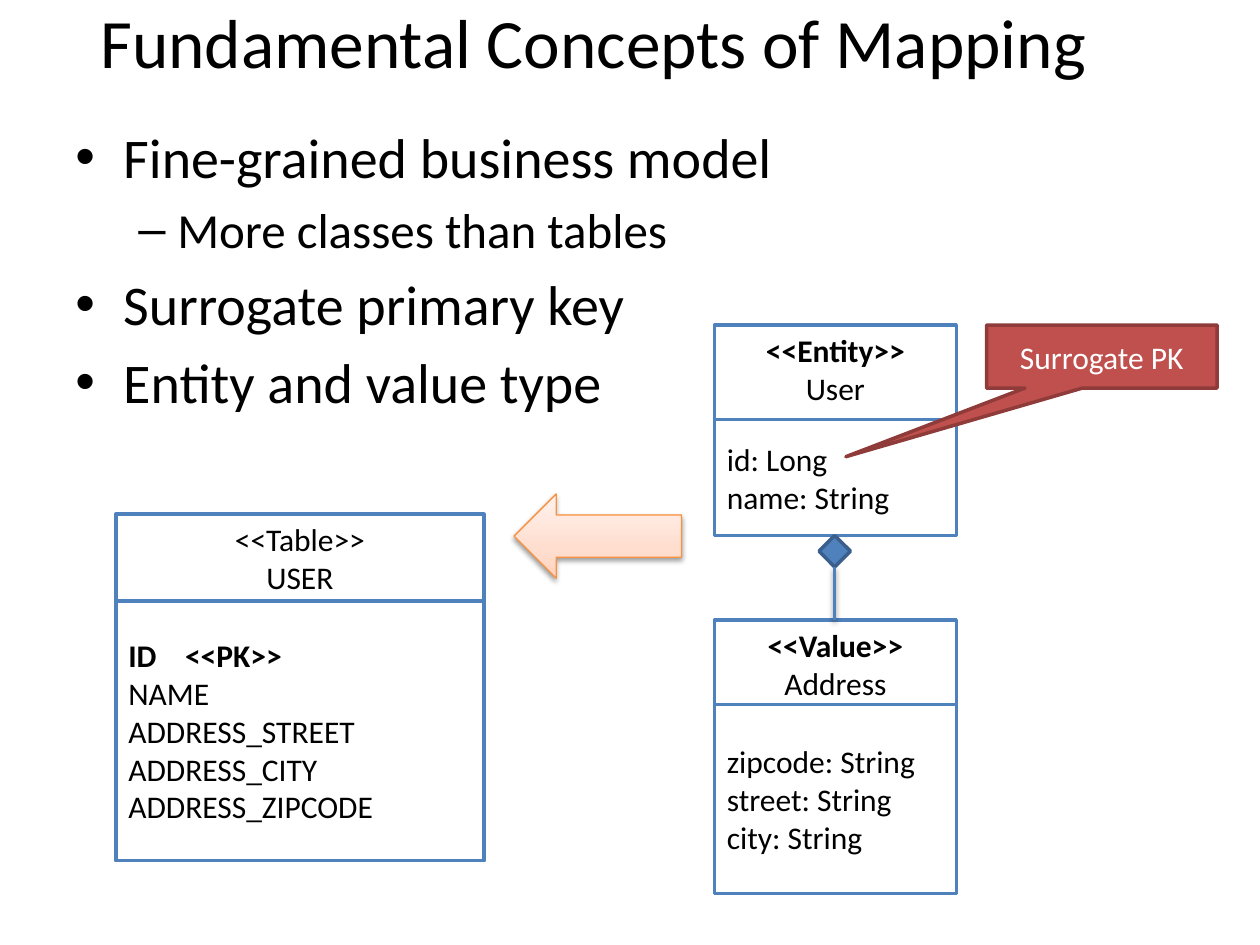
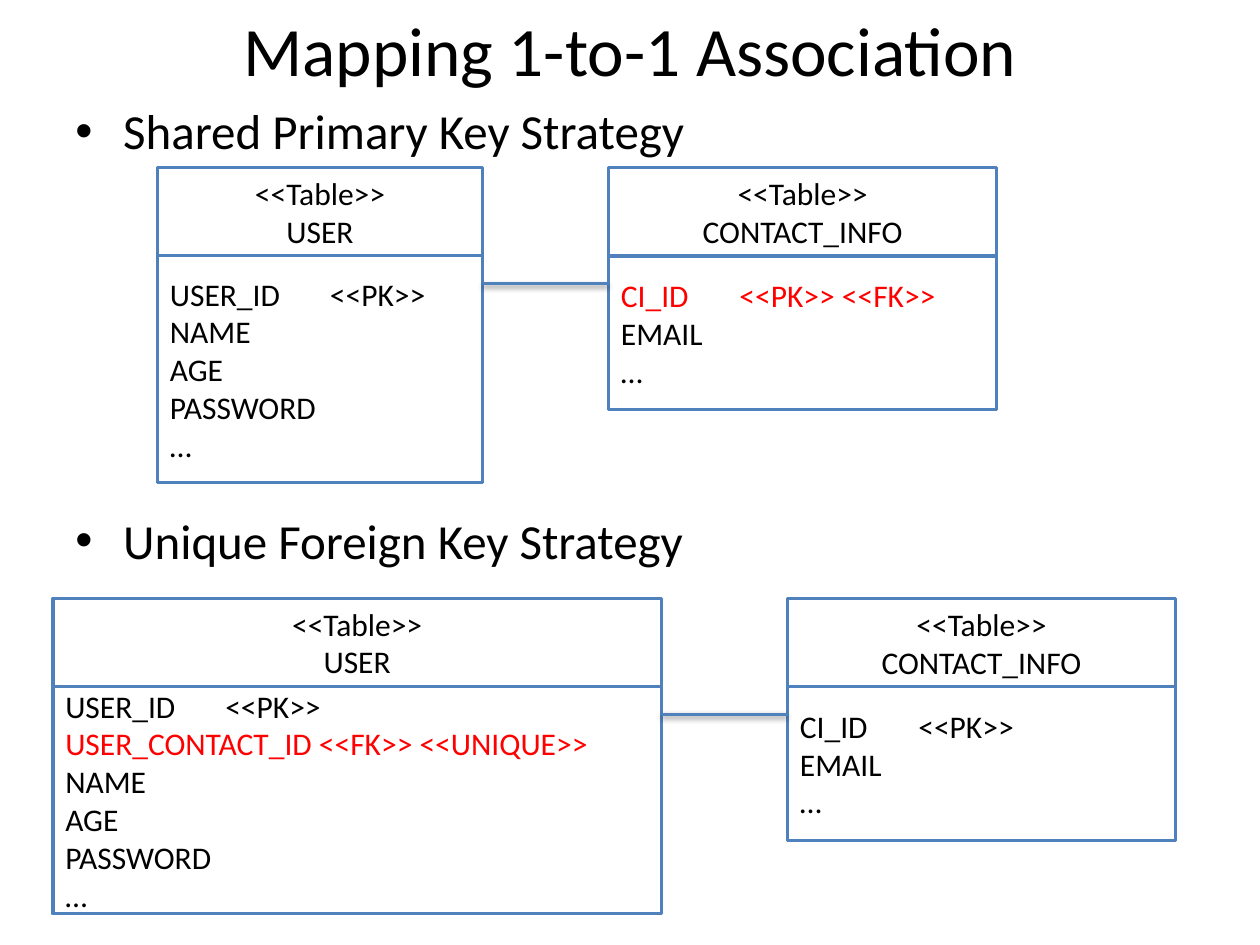
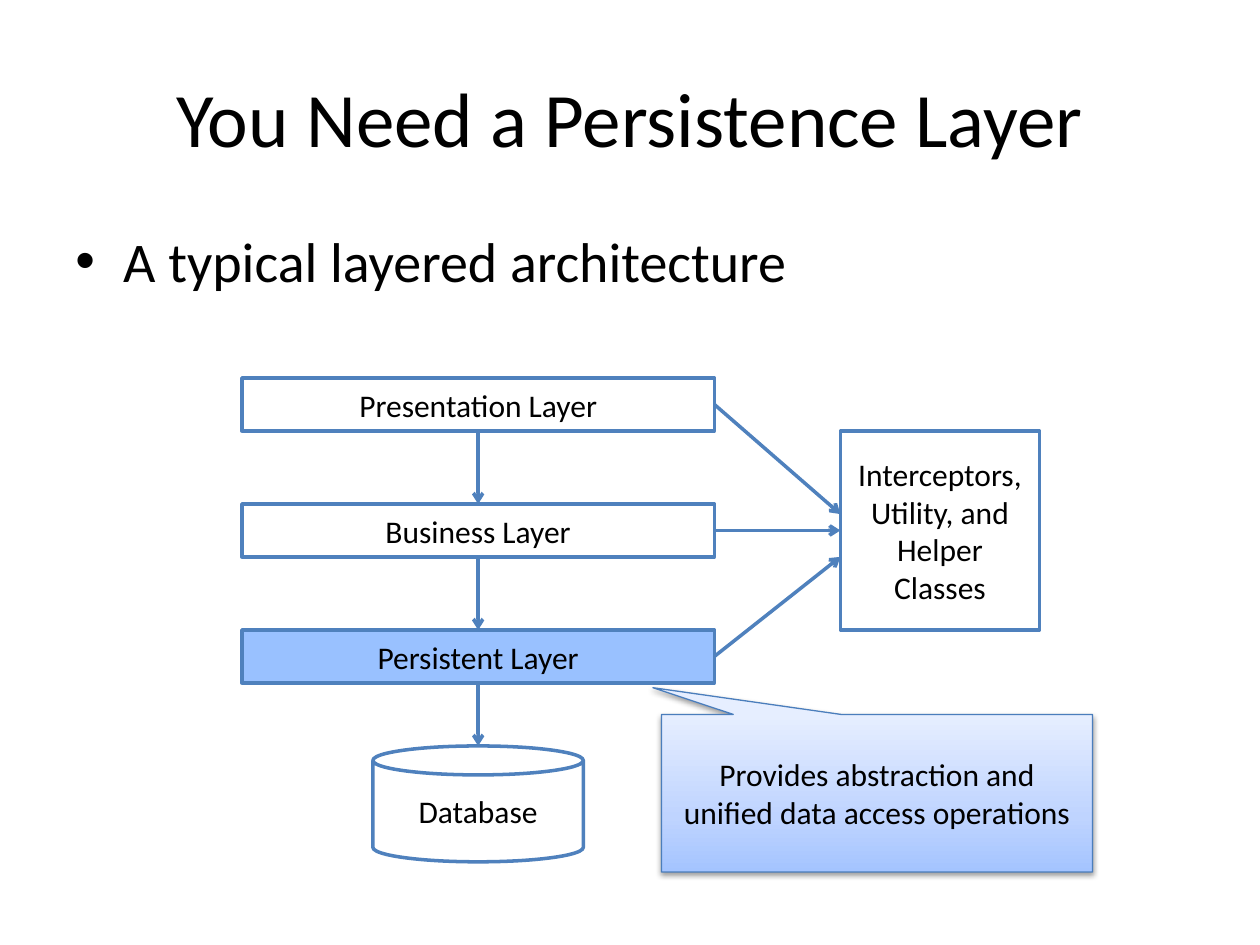
from dataclasses import dataclass

from lxml import etree
from pptx import Presentation
from pptx.dml.color import RGBColor
from pptx.enum.shapes import MSO_CONNECTOR, MSO_SHAPE
from pptx.enum.text import MSO_ANCHOR, MSO_AUTO_SIZE, PP_ALIGN
from pptx.oxml.ns import qn
from pptx.util import Inches, Pt

RECTANGLE = MSO_SHAPE.RECTANGLE
CALLOUT = MSO_SHAPE.RECTANGULAR_CALLOUT
LEFT_ARROW = MSO_SHAPE.LEFT_ARROW
DIAMOND = MSO_SHAPE.DIAMOND
CAN = MSO_SHAPE.CAN
STRAIGHT = MSO_CONNECTOR.STRAIGHT
TOP, MIDDLE = MSO_ANCHOR.TOP, MSO_ANCHOR.MIDDLE
LEFT, CENTER = PP_ALIGN.LEFT, PP_ALIGN.CENTER
NO_AUTOFIT = MSO_AUTO_SIZE.NONE
TITLE_ONLY = 5


@dataclass(frozen=True)
class Theme:
    """Colours, font and sizes shared by the slides."""
    font: str = "Calibri"
    ink: str = "000000"
    paper: str = "FFFFFF"
    blue: str = "4F81BD"
    dark_blue: str = "3A5F8C"
    key_red: str = "FF0000"
    note_red: str = "C0504D"
    note_edge: str = "8E3B39"
    layer_blue: str = "0066FF"
    pale_edge: str = "4B7EBC"
    orange_edge: str = "F69240"
    pale_blue: tuple = ((0, "A4C4FF"), (35, "BFD4FF"), (100, "E6EEFF"))
    pale_orange: tuple = ((0, "FFD2BD"), (35, "FFDED0"), (100, "FFF2ED"))
    title: float = 44
    tight_title: float = 39.6
    bullet: float = 32
    small_bullet: float = 28
    label: float = 18
    outline: float = 2
    hairline: float = 0.75


THEME = Theme()


@dataclass(frozen=True)
class Box:
    """A rectangle in inches."""
    left: float
    top: float
    width: float
    height: float

    @property
    def right(self):
        """Return the right edge."""
        return self.left + self.width

    @property
    def bottom(self):
        """Return the bottom edge."""
        return self.top + self.height

    @property
    def middle(self):
        """Return the horizontal centre."""
        return self.left + self.width / 2

    @property
    def center(self):
        """Return the vertical centre."""
        return self.top + self.height / 2

    def lengths(self):
        """Return left, top, width and height as lengths."""
        return [Inches(v) for v in (self.left, self.top, self.width, self.height)]


@dataclass(frozen=True)
class Line:
    """A line of label text, with an optional tab stop in inches."""
    text: str
    color: str = THEME.ink
    bold: bool = False
    tab: float = 0


def add_node(parent, tag, **attributes):
    """Append a drawing element and return it."""
    return etree.SubElement(parent, qn(tag), attributes)


def style_paragraph(paragraph, size, color=THEME.ink, bold=False):
    """Format every run of a paragraph."""
    for run in paragraph.runs:
        run.font.name = THEME.font
        run.font.size = Pt(size)
        run.font.bold = bold
        run.font.color.rgb = RGBColor.from_string(color)


def fill_lines(frame, lines, align=CENTER, anchor=MIDDLE):
    """Write label lines into a text frame."""
    frame.word_wrap = True
    frame.vertical_anchor = anchor
    frame.text = "\n".join(line.text for line in lines)
    for paragraph, line in zip(frame.paragraphs, lines):
        paragraph.alignment = align
        style_paragraph(paragraph, THEME.label, line.color, line.bold)
        if line.tab:
            stops = add_node(paragraph._p.get_or_add_pPr(), "a:tabLst")
            add_node(stops, "a:tab", pos=str(Inches(line.tab)), algn="l")


def set_effects(item, shadow=False):
    """Give a shape or connector a soft shadow, or none."""
    effects = add_node(item._element.spPr, "a:effectLst")
    if shadow:
        outer = add_node(effects, "a:outerShdw", blurRad=str(Pt(3.1)),
                         dist=str(Pt(1.6)), dir="5400000", rotWithShape="0")
        color = add_node(outer, "a:srgbClr", val=THEME.ink)
        add_node(color, "a:alpha", val="38000")


def set_gradient(fill, spPr, stops):
    """Apply a bottom-to-top gradient."""
    fill.gradient()
    fill.gradient_angle = 90
    stop_list = spPr.find(qn("a:gradFill")).find(qn("a:gsLst"))
    for old_stop in list(stop_list):
        stop_list.remove(old_stop)
    for position, color in stops:
        stop = add_node(stop_list, "a:gs", pos=str(position * 1000))
        add_node(stop, "a:srgbClr", val=color)


def add_block(slide, box, lines=(), kind=RECTANGLE, fill=THEME.paper, edge=THEME.blue,
              weight=THEME.outline, shadow=False, align=CENTER, anchor=MIDDLE,
              pointer=(), opacity=100):
    """Draw one outlined shape with its label."""
    block = slide.shapes.add_shape(kind, *box.lengths())
    for index, value in enumerate(pointer):
        block.adjustments[index] = value
    if isinstance(fill, tuple):
        set_gradient(block.fill, block._element.spPr, fill)
    else:
        block.fill.solid()
        block.fill.fore_color.rgb = RGBColor.from_string(fill)
        if opacity < 100:
            color = block._element.spPr.find(qn("a:solidFill"))[0]
            add_node(color, "a:alpha", val=str(opacity * 1000))
    block.line.color.rgb = RGBColor.from_string(edge)
    block.line.width = Pt(weight)
    set_effects(block, shadow)
    if lines:
        fill_lines(block.text_frame, lines, align, anchor)


def add_link(slide, start, end, arrow=False):
    """Draw a shadowed association or a plain arrow."""
    ends = [Inches(v) for v in (*start, *end)]
    link = slide.shapes.add_connector(STRAIGHT, *ends)
    link.line.color.rgb = RGBColor.from_string(THEME.blue)
    link.line.width = Pt(THEME.outline)
    if arrow:
        add_node(link.line._get_or_add_ln(), "a:tailEnd", type="arrow")
    set_effects(link, not arrow)


def add_entity(slide, box, heading, fields, header=0.7):
    """Draw a class or table box with a header and its fields."""
    add_block(slide, box, heading, anchor=TOP)
    body = Box(box.left, box.top + header, box.width, box.height - header)
    add_block(slide, body, fields, align=LEFT)


def add_titled_slide(deck, title, box, size=THEME.tight_title, right_inset=0.1):
    """Add a title-only slide and place its title."""
    slide = deck.slides.add_slide(deck.slide_layouts[TITLE_ONLY])
    heading = slide.shapes.title
    heading.left, heading.top, heading.width, heading.height = box.lengths()
    frame = heading.text_frame
    frame.text = title
    frame.auto_size = NO_AUTOFIT
    frame.vertical_anchor = MIDDLE
    frame.margin_right = Inches(right_inset)
    frame.paragraphs[0].alignment = CENTER
    style_paragraph(frame.paragraphs[0], size)
    return slide


def add_bullets(slide, box, items, size=THEME.bullet):
    """Write bullets given as (level, text) pairs."""
    frame = slide.shapes.add_textbox(*box.lengths()).text_frame
    frame.word_wrap = True
    frame.text = "\n".join(text for _, text in items)
    for paragraph, (level, _) in zip(frame.paragraphs, items):
        indent, hang, mark = ((0.38, 0.38, "•"), (0.81, 0.31, "–"))[level]
        text_size = THEME.small_bullet if level else size
        paragraph.level = level
        paragraph.space_before = Pt(text_size * 0.2)
        properties = paragraph._p.get_or_add_pPr()
        properties.set("marL", str(Inches(indent)))
        properties.set("indent", str(-Inches(hang)))
        add_node(properties, "a:buFont", typeface="Arial")
        add_node(properties, "a:buChar", char=mark)
        style_paragraph(paragraph, text_size)


def table_heading(name):
    """Return the header lines of a database table."""
    return [Line("<<Table>>"), Line(name)]


def plain(*texts):
    """Return plain label lines."""
    return [Line(text) for text in texts]


def add_table_pair(slide, user, contact, user_fields, contact_key):
    """Draw the user table linked to the contact table."""
    add_entity(slide, user, table_heading("USER"), user_fields)
    add_entity(slide, contact, table_heading("CONTACT_INFO"),
               [contact_key, *plain("EMAIL", "…")])
    link_top = user.top + 0.92
    add_link(slide, (user.right, link_top), (contact.left, link_top))


def build_concepts(deck):
    """Build the slide on mapping concepts."""
    slide = add_titled_slide(deck, "Fundamental Concepts of Mapping",
                             Box(0.33, -0.03, 9, 0.7), right_inset=0.34)
    add_bullets(slide, Box(0.5, 0.92, 9, 2.5), [
        (0, "Fine-grained business model"), (1, "More classes than tables"),
        (0, "Surrogate primary key"), (0, "Entity and value type")])
    user = Box(5.67, 2.58, 1.92, 1.67)
    address = Box(user.left, 4.92, user.width, 2.17)
    add_entity(slide, user, [Line("<<Entity>>", bold=True), Line("User")],
               plain("id: Long", "name: String"), header=0.75)
    add_entity(slide, address, [Line("<<Value>>", bold=True), Line("Address")],
               plain("zipcode: String", "street: String", "city: String"), header=0.67)
    add_entity(slide, Box(0.92, 4.08, 2.92, 2.75), table_heading("USER"), [
        Line("ID\t<<PK>>", bold=True, tab=0.45),
        *plain("NAME", "ADDRESS_STREET", "ADDRESS_CITY", "ADDRESS_ZIPCODE")], header=0.69)
    add_block(slide, Box(7.83, user.top, 1.83, 0.5), [Line("Surrogate PK", THEME.paper)],
              CALLOUT, THEME.note_red, THEME.note_edge, pointer=(-1.11, 1.59))
    add_block(slide, Box(4.08, 3.92, 1.33, 0.67), kind=LEFT_ARROW, fill=THEME.pale_orange,
              edge=THEME.orange_edge, weight=THEME.hairline, shadow=True)
    diamond = Box(user.middle - 0.13, user.bottom, 0.25, 0.25)
    add_block(slide, diamond, kind=DIAMOND, fill=THEME.blue, edge=THEME.dark_blue)
    add_link(slide, (diamond.middle, diamond.bottom), (diamond.middle, address.top))


def build_association(deck):
    """Build the slide on one-to-one strategies."""
    slide = add_titled_slide(deck, "Mapping 1-to-1 Association", Box(0.5, 0, 9, 0.78))
    user_key = Line("USER_ID\t<<PK>>", tab=1.27)
    user_columns = plain("NAME", "AGE", "PASSWORD", "…")
    add_bullets(slide, Box(0.5, 0.75, 9, 0.42), [(0, "Shared Primary Key Strategy")],
                THEME.small_bullet)
    add_table_pair(slide, Box(1.25, 1.33, 2.58, 2.5), Box(4.83, 1.33, 3.08, 1.92),
                   [user_key, *user_columns],
                   Line("CI_ID\t<<PK>> <<FK>>", THEME.key_red, tab=0.94))
    add_bullets(slide, Box(0.5, 4, 9, 0.58), [(0, "Unique Foreign Key Strategy")],
                THEME.small_bullet)
    foreign_key = Line("USER_CONTACT_ID <<FK>> <<UNIQUE>>", THEME.key_red)
    add_table_pair(slide, Box(0.42, 4.75, 4.83, 2.5), Box(6.25, 4.75, 3.08, 1.92),
                   [user_key, foreign_key, *user_columns],
                   Line("CI_ID\t<<PK>>", tab=0.94))


def build_layers(deck):
    """Build the slide on the layered architecture."""
    slide = add_titled_slide(deck, "You Need a Persistence Layer",
                             Box(0.5, 0.3, 9, 1.25), THEME.title)
    add_bullets(slide, Box(0.5, 1.75, 9, 0.67), [(0, "A typical layered architecture")])
    names = ("Presentation Layer", "Business Layer", "Persistent Layer")
    layers = [Box(1.92, 3 + row, 3.75, 0.42) for row in range(len(names))]
    fills = ((THEME.paper, 100), (THEME.paper, 100), (THEME.layer_blue, 40))
    for name, layer, (fill, opacity) in zip(names, layers, fills):
        add_block(slide, layer, [Line(name)], fill=fill, opacity=opacity)
    database = Box(2.96, 5.92, 1.67, 0.92)
    helpers = Box(6.67, 3.42, 1.58, 1.58)
    add_block(slide, database, [Line("Database")], CAN)
    add_block(slide, helpers, [Line("Interceptors, Utility, and Helper Classes")])
    for upper, lower in zip(layers, [*layers[1:], database]):
        add_link(slide, (upper.middle, upper.bottom), (upper.middle, lower.top), arrow=True)
    for layer, entry in zip(layers, (4.08, 4.21, 4.42)):
        add_link(slide, (layer.right, layer.center), (helpers.left, entry), arrow=True)
    add_block(slide, Box(5.25, 5.67, 3.42, 1.25),
              [Line("Provides abstraction and unified data access operations")],
              CALLOUT, THEME.pale_blue, THEME.pale_edge, THEME.hairline, shadow=True,
              pointer=(-0.52, -0.67))


def main():
    """Build and save the deck."""
    deck = Presentation()
    deck.slide_width, deck.slide_height = Inches(10), Inches(7.5)
    build_concepts(deck)
    build_association(deck)
    build_layers(deck)
    deck.save("out.pptx")


if __name__ == "__main__":
    main()
